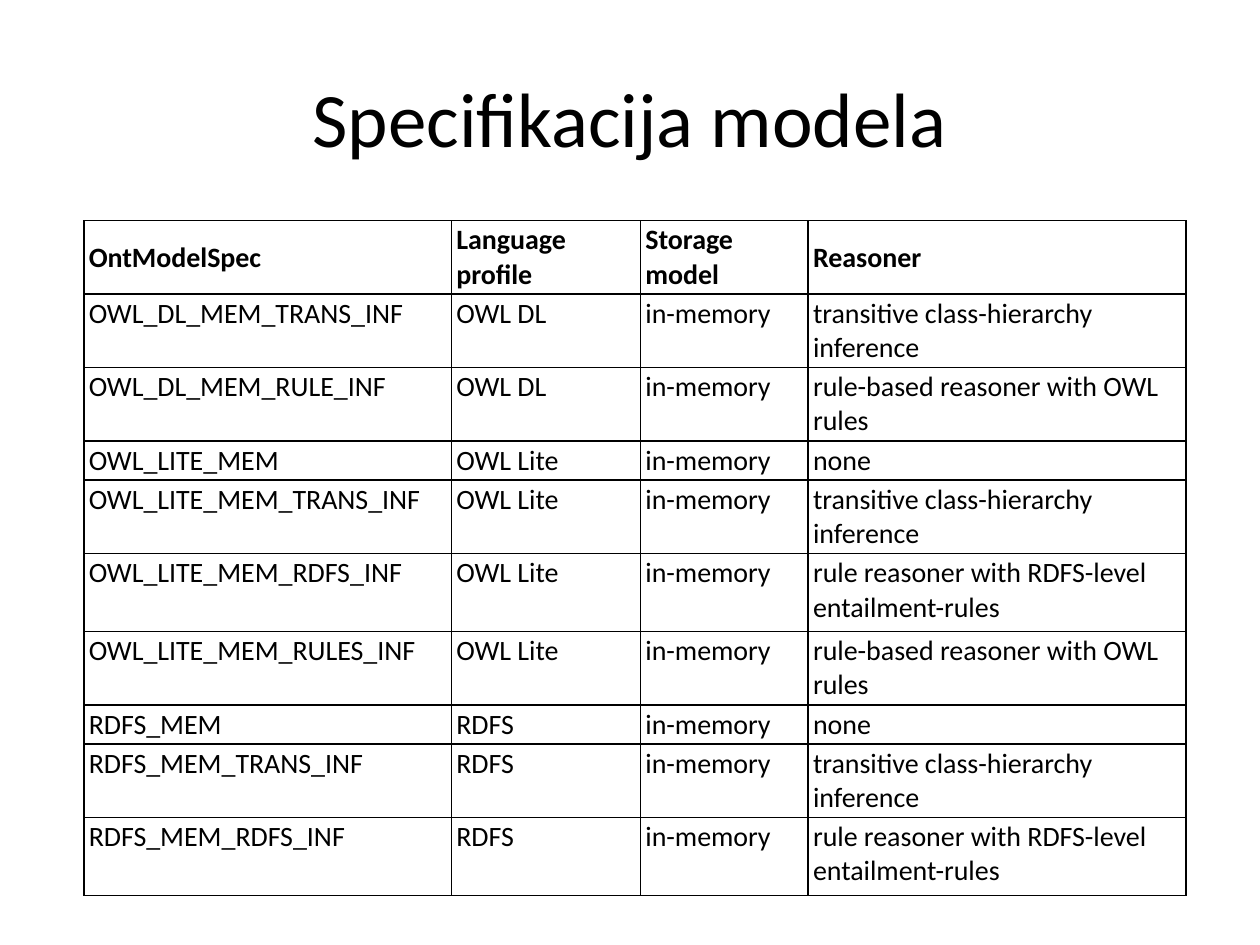
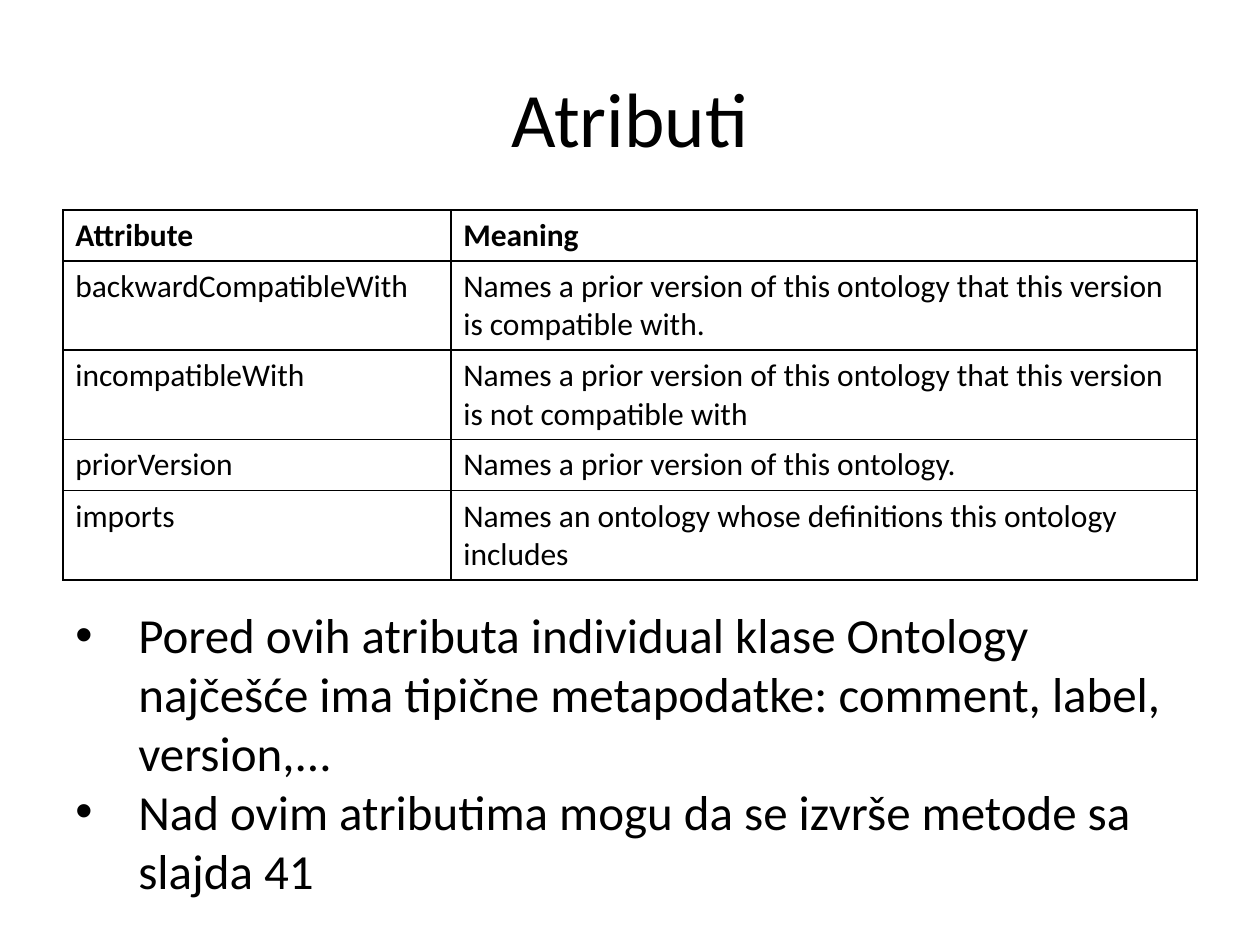
from dataclasses import dataclass

from lxml import etree
from pptx import Presentation
from pptx.dml.color import RGBColor
from pptx.enum.text import MSO_ANCHOR, PP_ALIGN
from pptx.oxml.ns import qn
from pptx.slide import Slide
from pptx.text.text import TextFrame
from pptx.util import Cm, Pt

MIDDLE, TOP = MSO_ANCHOR.MIDDLE, MSO_ANCHOR.TOP
CENTER, LEFT = PP_ALIGN.CENTER, PP_ALIGN.LEFT

FONT = "Calibri"
INK = "000000"
MARGIN = 1.27
WIDE = 22.86


@dataclass
class Grid:
    """A ruled table; lengths in cm, size in points."""
    left: float
    top: float
    cols: list[float]
    heights: list[float]
    rows: list[tuple[str, ...]]
    size: int
    pad: tuple[float, float]  # side, top and bottom


@dataclass
class Block:
    """A text box; lengths in cm, size in points."""
    top: float
    width: float
    height: float
    lines: list[str]
    size: int
    anchor: MSO_ANCHOR = TOP
    align: PP_ALIGN = LEFT
    bullet: bool = False


def color(code: str) -> RGBColor:
    return RGBColor.from_string(code)


def apply(item: object, values: dict) -> None:
    for key, value in values.items():
        setattr(item, key, value)


def write(frame: TextFrame, lines: list[str], size: int,
          align: PP_ALIGN = LEFT, bold: bool = False) -> None:
    for num, line in enumerate(lines):
        para = frame.add_paragraph() if num else frame.paragraphs[0]
        para.alignment = align
        run = para.add_run()
        run.text = line
        apply(run.font, {"name": FONT, "size": Pt(size), "bold": bold})
        run.font.color.rgb = color(INK)


def add_block(slide: Slide, block: Block) -> None:
    box = slide.shapes.add_textbox(Cm(MARGIN), Cm(block.top),
                                   Cm(block.width), Cm(block.height))
    frame = box.text_frame
    apply(frame, {"word_wrap": True, "vertical_anchor": block.anchor})
    write(frame, block.lines, block.size, block.align)
    if block.bullet:
        for para in frame.paragraphs:
            props = para._p.get_or_add_pPr()
            props.set("marL", str(Cm(MARGIN)))
            props.set("indent", str(-Cm(MARGIN)))
            etree.SubElement(props, qn("a:buFont"), typeface="Arial")
            etree.SubElement(props, qn("a:buChar"), char="•")


def rule_cell(cell) -> None:
    """Draw a one-point line on all four sides."""
    props = cell._tc.get_or_add_tcPr()
    for side in ("lnL", "lnR", "lnT", "lnB"):
        line = etree.SubElement(props, qn(f"a:{side}"), w=str(Pt(1)))
        fill = etree.SubElement(line, qn("a:solidFill"))
        etree.SubElement(fill, qn("a:srgbClr"), val=INK)


def add_grid(slide: Slide, grid: Grid) -> None:
    table = slide.shapes.add_table(
        len(grid.rows), len(grid.cols), Cm(grid.left), Cm(grid.top),
        Cm(sum(grid.cols)), Cm(sum(grid.heights))).table
    apply(table, {"first_row": False, "horz_banding": False})
    for col, width in zip(table.columns, grid.cols):
        col.width = Cm(width)
    for row, height in zip(table.rows, grid.heights):
        row.height = Cm(height)
    side, edge = map(Cm, grid.pad)
    for r, row in enumerate(grid.rows):
        head = r == 0
        for c, text in enumerate(row):
            cell = table.cell(r, c)
            apply(cell, {"margin_left": side, "margin_right": side,
                         "margin_top": edge, "margin_bottom": edge,
                         "vertical_anchor": MIDDLE if head else TOP})
            rule_cell(cell)
            cell.fill.background()
            write(cell.text_frame, [text], grid.size, bold=head)


def add_page(deck, title: str, grid: Grid) -> Slide:
    slide = deck.slides.add_slide(deck.slide_layouts[6])
    add_block(slide, Block(0.76, WIDE, 3.18, [title], 44, MIDDLE, CENTER))
    add_grid(slide, grid)
    return slide


# Reasoners, each with the height of its row
NONE = ("none", 0.79)
TRANS = ("transitive class-hierarchy inference", 1.48)
RULE = ("rule-based reasoner with OWL rules", 1.48)
RDFS = ("rule reasoner with RDFS-level entailment-rules", 1.57)

MODELS = [
    ("OWL_DL_MEM_TRANS_INF", "OWL DL", TRANS),
    ("OWL_DL_MEM_RULE_INF", "OWL DL", RULE),
    ("OWL_LITE_MEM", "OWL Lite", NONE),
    ("OWL_LITE_MEM_TRANS_INF", "OWL Lite", TRANS),
    ("OWL_LITE_MEM_RDFS_INF", "OWL Lite", RDFS),
    ("OWL_LITE_MEM_RULES_INF", "OWL Lite", RULE),
    ("RDFS_MEM", "RDFS", NONE),
    ("RDFS_MEM_TRANS_INF", "RDFS", TRANS),
    ("RDFS_MEM_RDFS_INF", "RDFS", RDFS),
]
SPECS = Grid(
    1.69, 4.45, [7.41, 3.81, 3.38, 7.62],
    [1.48] + [kind[1] for _, _, kind in MODELS],
    [("OntModelSpec", "Language profile", "Storage model", "Reasoner")]
    + [(name, lang, "in-memory", kind[0]) for name, lang, kind in MODELS],
    16, (0.1, 0.05))

TRAITS = Grid(
    MARGIN, 4.23, [7.82, 15.04], [1.03, 1.8, 1.8, 1.03, 1.8],
    [("Attribute", "Meaning"),
     ("backwardCompatibleWith", "Names a prior version of this ontology "
      "that this version is compatible with."),
     ("incompatibleWith", "Names a prior version of this ontology "
      "that this version is not compatible with"),
     ("priorVersion", "Names a prior version of this ontology."),
     ("imports", "Names an ontology whose definitions this ontology "
      "includes")],
    18, (0.25, 0.13))

NOTES = Block(12.07, 22.66, 6.25, [
    "Pored ovih atributa individual klase Ontology najčešće ima "
    "tipične metapodatke: comment, label, version,...",
    "Nad ovim atributima mogu da se izvrše metode sa slajda 41",
], 28, bullet=True)


def main() -> None:
    deck = Presentation()
    apply(deck, {"slide_width": Cm(25.4), "slide_height": Cm(19.05)})
    # Model specifications
    add_page(deck, "Specifikacija modela", SPECS)
    # Ontology attributes
    slide = add_page(deck, "Atributi", TRAITS)
    add_block(slide, NOTES)
    deck.save("out.pptx")


if __name__ == "__main__":
    main()
